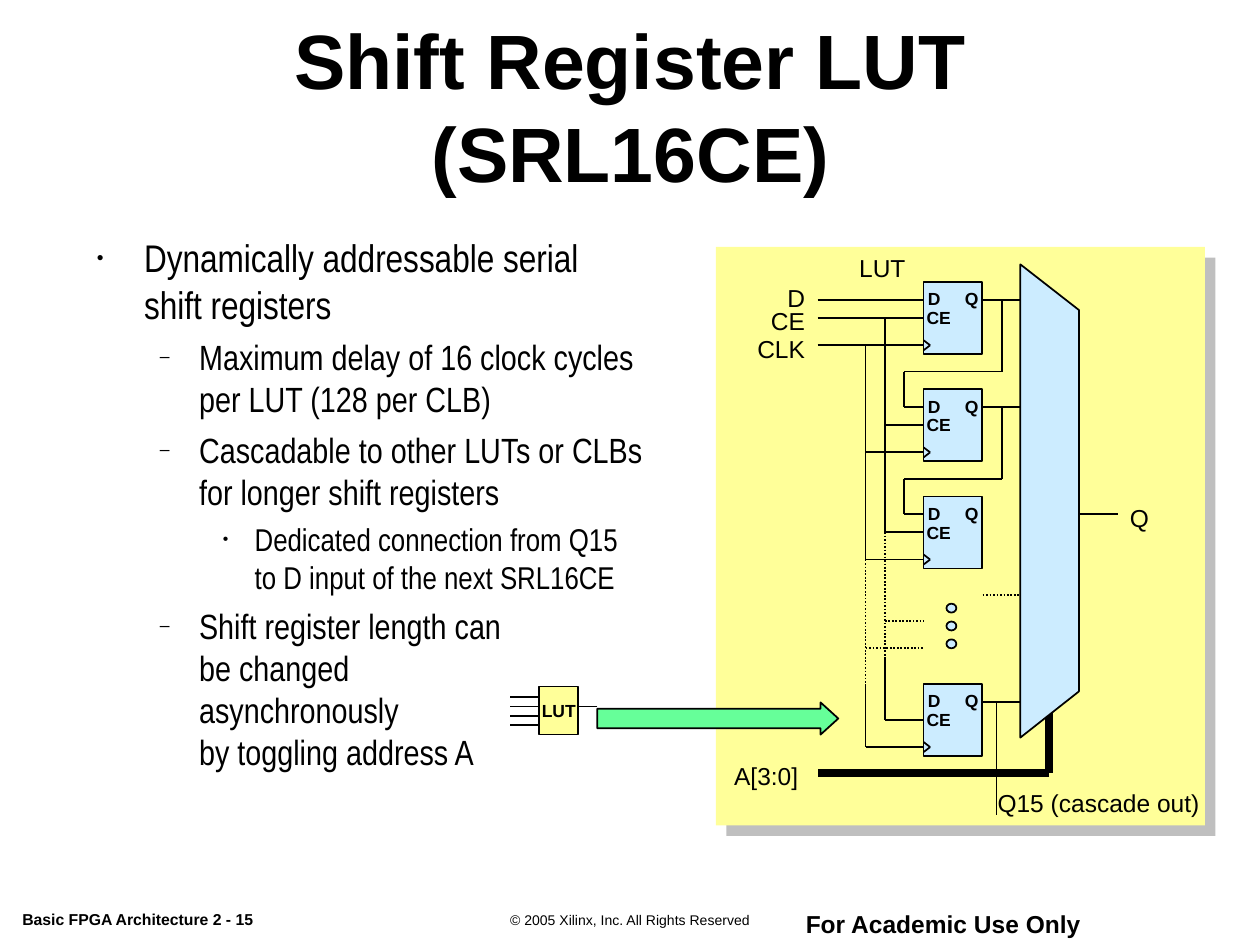
"""Build the shift register LUT slide with its bullets and circuit."""
import itertools

import lxml.etree
import pptx
import pptx.dml.color
import pptx.enum.dml
import pptx.enum.shapes
import pptx.enum.text
import pptx.oxml
import pptx.oxml.ns
import pptx.util

Cm = pptx.util.Cm
Pt = pptx.util.Pt
Kind = pptx.enum.shapes.MSO_SHAPE
Align = pptx.enum.text.PP_ALIGN
Fit = pptx.enum.text.MSO_AUTO_SIZE
Mid = pptx.enum.text.MSO_ANCHOR.MIDDLE
qn = pptx.oxml.ns.qn

BLACK, YELLOW, BLUE, GREEN = "000000", "FFFF99", "CCECFF", "66FF99"


def hue(code):
    return pptx.dml.color.RGBColor.from_string(code)


class Sheet:
    def __init__(self, deck):
        self.slide = deck.slides.add_slide(deck.slide_layouts[1])
        self.shapes = self.slide.shapes
        self.face = "Arial"

    def group(self):
        self.shapes = self.slide.shapes.add_group_shape().shapes

    def leave(self):
        self.shapes = self.slide.shapes

    def style(self, para, size, bold=False, face=None):
        font = para.font
        font.name = face or self.face
        font.size = Pt(size)
        font.bold = bold
        font.color.rgb = hue(BLACK)

    def place(self, item, box):
        item.left, item.top, item.width, item.height = map(Cm, box)

    def title(self, text, box):
        item = self.slide.shapes.title
        self.place(item, box)
        frame = item.text_frame
        frame.text = text
        frame.auto_size = Fit.NONE
        frame.vertical_anchor = Mid
        frame.paragraphs[0].alignment = Align.CENTER
        self.style(frame.paragraphs[0], 44, True)

    def bullets(self, items, box):
        item = self.slide.placeholders[1]
        self.place(item, box)
        frame = item.text_frame
        frame.auto_size = Fit.NONE
        looks = [(0.95, 0.95, 22, "•"), (2.06, 0.79, 20, "–"), (3.18, 0.64, 18, "•")]
        for num, (level, text) in enumerate(items):
            para = frame.add_paragraph() if num else frame.paragraphs[0]
            left, hang, size, mark = looks[level]
            para.text = text
            para.level = level
            props = para._p.get_or_add_pPr()
            props.set("marL", str(Cm(left)))
            props.set("indent", str(-Cm(hang)))
            tint = lxml.etree.SubElement(props, qn("a:buClr"))
            lxml.etree.SubElement(tint, qn("a:srgbClr"), val=BLACK)
            lxml.etree.SubElement(props, qn("a:buSzPct"), val="50000")
            lxml.etree.SubElement(props, qn("a:buChar"), char=mark)
            para.space_before = Pt(size / 4 if num else 0)
            self.style(para, size, face="Arial Narrow")

    def label(self, text, box, size=14, bold=False, align=Align.LEFT, wrap=True, gap=None):
        item = self.shapes.add_textbox(*map(Cm, box))
        frame = item.text_frame
        frame.word_wrap = wrap
        frame.auto_size = Fit.SHAPE_TO_FIT_TEXT
        para = frame.paragraphs[0]
        para.text = text
        para.alignment = align
        para.line_spacing = gap
        self.style(para, size, bold)

    def finish(self, item, fill, line=True):
        item.shadow.inherit = False
        item.fill.solid()
        item.fill.fore_color.rgb = hue(fill)
        if line:
            item.line.color.rgb = hue(BLACK)
            item.line.width = Pt(1)
        else:
            item.line.fill.background()
        return item

    def block(self, kind, box, fill, line=True):
        return self.finish(self.shapes.add_shape(kind, *map(Cm, box)), fill, line)

    def panel(self, box):
        item = self.block(Kind.RECTANGLE, box, YELLOW, False)
        fx = item._element.spPr.find(qn("a:effectLst"))
        cast = lxml.etree.SubElement(
            fx, qn("a:outerShdw"), dist=str(Pt(8.5)), dir="2700000", algn="ctr", rotWithShape="0")
        tint = lxml.etree.SubElement(cast, qn("a:srgbClr"), val="808080")
        lxml.etree.SubElement(tint, qn("a:alpha"), val="50000")

    def chip(self, text, box):
        item = self.block(Kind.RECTANGLE, box, YELLOW)
        frame = item.text_frame
        frame.word_wrap = False
        frame.vertical_anchor = Mid
        para = frame.paragraphs[0]
        para.text = text
        para.alignment = Align.CENTER
        self.style(para, 10, True)

    def shape(self, points):
        spots = [(Cm(x), Cm(y)) for x, y in points]
        pen = self.shapes.build_freeform(*spots[0])
        pen.add_line_segments(spots[1:], close=True)
        self.finish(pen.convert_to_shape(), BLUE)

    def wire(self, *points, width=1, dots=False):
        for start, end in itertools.pairwise(points):
            line = self.shapes.add_connector(
                pptx.enum.shapes.MSO_CONNECTOR.STRAIGHT, *map(Cm, start + end))
            line.line.color.rgb = hue(BLACK)
            line.line.width = Pt(width)
            if dots:
                line.line.dash_style = pptx.enum.dml.MSO_LINE.ROUND_DOT
            lxml.etree.SubElement(line._element.spPr, qn("a:effectLst"))

    def flop(self, x, y):
        self.group()
        self.block(Kind.RECTANGLE, (x, y, 1.18, 1.45), BLUE)
        self.label("D", (x - 0.18, y, 0.79, 0.69), 10, True, Align.CENTER)
        self.label("Q", (x + 0.58, y, 0.79, 0.69), 10, True, wrap=False)
        self.label("CE", (x - 0.38, y + 0.38, 1.37, 0.69), 10, True, Align.CENTER)
        self.wire((x, y + 1.17), (x + 0.13, y + 1.27), (x, y + 1.37))
        self.leave()


def main():
    deck = pptx.Presentation()
    deck.slide_width, deck.slide_height = Cm(25.4), Cm(19.05)
    page = Sheet(deck)
    page.label("Basic FPGA Architecture 2 - 15", (0.2, 18.29, 6.58, 0.56), 9, True, gap=0.8)
    page.label("© 2005 Xilinx, Inc. All Rights Reserved", (8.36, 18.31, 8.69, 0.53), 8,
               align=Align.CENTER, gap=0.8)
    page.label("For Academic Use Only", (15.98, 18.21, 6.07, 0.86), 14, True,
               Align.CENTER, False)
    page.title("Shift Register LUT (SRL16CE)", (1.7, 0.53, 22.02, 3.18))
    page.bullets([
        (0, "Dynamically addressable serial shift registers"),
        (1, "Maximum delay of 16 clock cycles per LUT (128 per CLB)"),
        (1, "Cascadable to other LUTs or CLBs for longer shift registers"),
        (2, "Dedicated connection from Q15 to D input of the next SRL16CE"),
        (1, "Shift register length can\vbe changed\vasynchronously\vby toggling address A"),
    ], (1.7, 4.6, 11.53, 12.4))

    page.panel((14.43, 4.98, 9.86, 11.66))
    page.group()
    page.chip("LUT", (10.87, 13.84, 0.79, 0.97))
    for row in range(4):
        y = 14.05 + 0.19 * row
        page.wire((10.87, y), (10.29, y))
    page.wire((12.04, 14.24), (11.66, 14.24))
    page.leave()
    arrow = page.block(Kind.RIGHT_ARROW, (12.04, 14.16, 4.86, 0.65), GREEN)
    arrow.adjustments[0], arrow.adjustments[1] = 0.6, 0.55

    left, right, mux, edge = 18.62, 19.81, 20.57, 21.75
    start, ce, clk = 16.48, 17.84, 17.45
    tops = [5.69, 7.85, 10.01, 13.79]
    page.wire((21.15, 14.33), (21.15, 15.59), (start, 15.59), width=4.5)
    page.shape([(mux, 14.87), (mux, 5.33), (edge, 6.25), (edge, 13.94)])

    for num, top in enumerate(tops):
        if num != 2:
            page.wire((right, top + 0.36), (mux, top + 0.36))
        page.wire((ce if num else start, top + 0.72), (left, top + 0.72))
        page.wire((clk if num else start, top + 1.27), (left, top + 1.27))
        page.flop(left, top)
    page.wire((start, tops[0] + 0.36), (left, tops[0] + 0.36))
    for top, below in itertools.pairwise(tops[:3]):
        page.wire((20.2, top + 0.36), (20.2, top + 1.8), (18.23, top + 1.8),
                  (18.23, below + 0.36), (left, below + 0.36))
    for bus, pin, stop, stub in [(ce, 0.72, 13.26, 12.52), (clk, 1.27, 13.79, 13.06)]:
        page.wire((bus, tops[0] + pin), (bus, tops[2] + pin))
        page.wire((bus, tops[2] + pin), (bus, stop), dots=True)
        page.wire((bus, stop), (bus, tops[3] + pin))
        page.wire((bus, stub), (left, stub), dots=True)
    page.wire((right, 11.99), (mux, 11.99), dots=True)
    for row in range(3):
        page.block(Kind.OVAL, (19.08, 12.17 + 0.36 * row, 0.2, 0.18), BLUE)
    page.wire((edge, 10.36), (22.53, 10.36))
    page.wire((20.09, 14.15), (20.09, 16.43), width=0.75)

    for text, y in [("D", 5.59), ("CE", 6.05), ("CLK", 6.6)]:
        page.label(text, (14.96, y, 1.52, 0.86), align=Align.RIGHT)
    for text, x, y, wide in [("LUT", 17.07, 4.98, 1.45), ("A[3:0]", 14.55, 15.21, 1.8),
                             ("Q", 22.53, 10.01, 0.89),
                             ("Q15 (cascade out)", 19.86, 15.77, 4.8)]:
        page.label(text, (x, y, wide, 0.86), wrap=False)
    deck.save("out.pptx")


if __name__ == "__main__":
    main()
